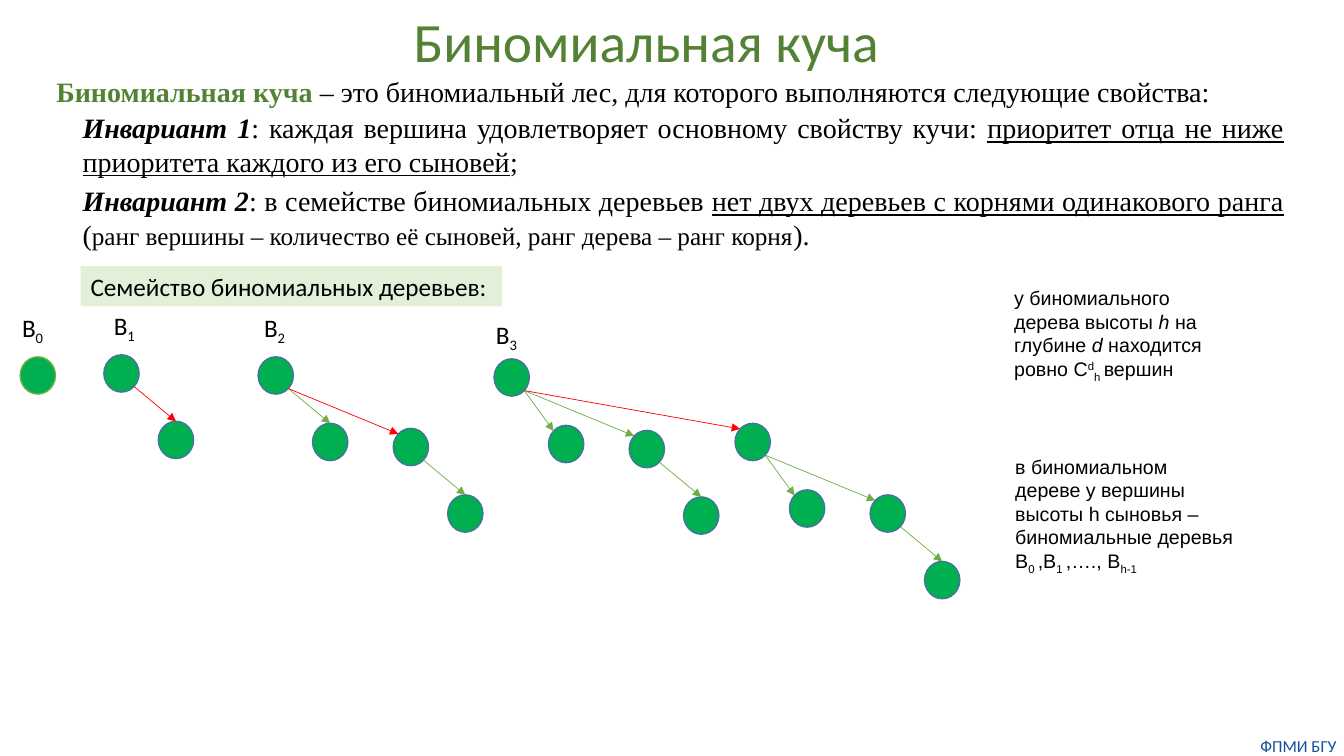
from dataclasses import dataclass

from lxml import etree
from pptx import Presentation
from pptx import util as u
from pptx.dml.color import RGBColor
from pptx.enum import shapes, text
from pptx.oxml import ns


@dataclass(frozen=True)
class Theme:
    heading: str = "548235"
    ink: str = "000000"
    footer: str = "144E9D"
    band: str = "E2F0D9"
    node: str = "00B050"
    outline: str = "43739E"
    edge: str = "70AD47"
    new_edge: str = "FF0000"
    sans: str = "Calibri"
    serif: str = "Times New Roman"
    note: str = "Arial"
    title_size: float = 39.6
    body_size: float = 20
    label_size: float = 18
    note_size: float = 14
    footer_size: float = 12


THEME = Theme()


# Grid: 133.3 columns by 75 rows of square cells
def cells(count: float) -> u.Length:
    return u.Inches(count / 10)


def rgb(value: str) -> RGBColor:
    return RGBColor.from_string(value)


@dataclass(frozen=True)
class Area:
    column: float
    row: float
    columns: float
    rows: float

    def lengths(self) -> list[u.Length]:
        return [cells(n) for n in (self.column, self.row, self.columns, self.rows)]


@dataclass(frozen=True)
class Span:
    words: str
    bold: bool | None = None
    italic: bool | None = None
    underline: bool | None = None
    size: float | None = None
    color: str | None = None
    baseline: int = 0  # percent above (+) or below (-) the line


@dataclass(frozen=True)
class Style:
    font: str
    size: float
    color: str = THEME.ink
    align: text.PP_ALIGN = text.PP_ALIGN.LEFT
    left: float = 0
    first: float = 0
    space: float = 0


@dataclass(frozen=True)
class Tree:
    rank: int
    column: float
    row: float
    label_column: float
    label_row: float


def write(para, style: Style, spans: list[Span]) -> None:
    para.alignment = style.align
    if style.left or style.first:
        properties = para._p.get_or_add_pPr()
        properties.set("marL", str(cells(style.left)))
        properties.set("indent", str(cells(style.first)))
    if style.space:
        para.space_before = para.space_after = u.Pt(style.space)
    para.font.name = style.font
    para.font.size = u.Pt(style.size)
    para.font.color.rgb = rgb(style.color)
    for span in spans:
        run = para.add_run()
        run.text = span.words
        run.font.bold = span.bold
        run.font.italic = span.italic
        run.font.underline = span.underline
        if span.size:
            run.font.size = u.Pt(span.size)
        if span.color:
            run.font.color.rgb = rgb(span.color)
        if span.baseline:
            run._r.get_or_add_rPr().set("baseline", str(span.baseline * 1000))


def add_text(page, area: Area, paras: list[tuple[Style, list[Span]]],
             wrap: bool = True, anchor=text.MSO_ANCHOR.TOP):
    box = page.shapes.add_textbox(*area.lengths())
    frame = box.text_frame
    frame.word_wrap = wrap
    frame.auto_size = text.MSO_AUTO_SIZE.SHAPE_TO_FIT_TEXT
    frame.vertical_anchor = anchor
    for index, (style, spans) in enumerate(paras):
        para = frame.add_paragraph() if index else frame.paragraphs[0]
        write(para, style, spans)
    return box


def add_node(page, column: float, row: float, outline: str) -> None:
    node = page.shapes.add_shape(shapes.MSO_SHAPE.OVAL, *Area(column, row, 3.5, 3.7).lengths())
    node.shadow.inherit = False
    node.fill.solid()
    node.fill.fore_color.rgb = rgb(THEME.node)
    node.line.color.rgb = rgb(outline)
    node.line.width = u.Pt(1)


def add_edge(page, start: tuple[float, float], end: tuple[float, float], color: str) -> None:
    edge = page.shapes.add_connector(shapes.MSO_CONNECTOR.STRAIGHT, *map(cells, start + end))
    edge.line.color.rgb = rgb(color)
    edge.line.width = u.Pt(0.5)
    etree.SubElement(edge.line._get_or_add_ln(), ns.qn("a:tailEnd"), type="triangle")
    etree.SubElement(edge._element.spPr, ns.qn("a:effectLst"))


# Offset from a root to its child of rank 0, 1, 2
CHILD_OFFSETS = [(5.4, 6.6), (13.4, 7.1), (23.9, 6.4)]


def add_tree(page, tree: Tree, rank: int, column: float, row: float, whole: bool = True) -> None:
    """Draw a root of the given rank, then its children of ranks 0 to rank - 1."""
    add_node(page, column, row, THEME.outline if tree.rank else THEME.edge)
    for child, (across, down) in enumerate(CHILD_OFFSETS[:rank]):
        x, y = column + across, row + down
        add_tree(page, tree, child, x, y, whole=False)
        from_top = child == 0 and (rank == 1 or tree.rank == 2)
        end = (x + 1.75, y) if from_top else (x + 0.5, y + 0.55)
        joins_halves = whole and child == rank - 1
        add_edge(page, (column + 3, row + 3.15), end,
                 THEME.new_edge if joins_halves else THEME.edge)


LABEL = Style(THEME.sans, THEME.label_size)
NOTE = Style(THEME.note, THEME.note_size)
LEAD = Style(THEME.serif, THEME.body_size, align=text.PP_ALIGN.JUSTIFY, first=2.4)
INVARIANT = Style(THEME.serif, THEME.body_size, align=text.PP_ALIGN.JUSTIFY, left=5, space=2)

DEFINITION = [
    (LEAD, [Span("Биномиальная куча ", bold=True, color=THEME.heading),
            Span("– это биномиальный лес, для которого выполняются следующие свойства:")]),
    (INVARIANT, [Span("Инвариант 1", bold=True, italic=True),
                 Span(": каждая вершина удовлетворяет основному свойству кучи: "),
                 Span("приоритет отца не ниже приоритета каждого из его сыновей", underline=True),
                 Span(";")]),
    (INVARIANT, [Span("Инвариант 2", bold=True, italic=True),
                 Span(": в семействе биномиальных деревьев "),
                 Span("нет двух деревьев с корнями одинакового ранга ", underline=True),
                 Span("("),
                 Span("ранг вершины – количество её сыновей, ранг дерева – ранг корня",
                      size=THEME.label_size),
                 Span(").")]),
]
DEPTH_NOTE = [Span("у биномиального дерева высоты "), Span("h ", italic=True),
              Span("на глубине "), Span("d", italic=True), Span(" находится ровно С"),
              Span("d", baseline=30), Span("h ", baseline=-25), Span("вершин")]
CHILDREN_NOTE = [Span("в биномиальном дереве у вершины высоты h сыновья – биномиальные деревья B"),
                 Span("0 ", baseline=-25), Span(",B"), Span("1 ", baseline=-25),
                 Span(",…., B"), Span("h-1", baseline=-25)]
TREES = [Tree(0, 2, 35.4, 1.2, 30.5), Tree(1, 10.3, 35.2, 10.3, 30.3),
         Tree(2, 25.6, 35.4, 25.2, 30.5), Tree(3, 49, 35.6, 48.2, 31.2)]


def main() -> None:
    deck = Presentation()
    deck.slide_width, deck.slide_height = cells(133.3), cells(75)
    page = deck.slides.add_slide(deck.slide_layouts[5])

    # Title
    title = page.shapes.title
    title.left, title.top, title.width, title.height = Area(6.6, 0.8, 115, 7.3).lengths()
    title.text_frame.auto_size = text.MSO_AUTO_SIZE.NONE
    title.text_frame.vertical_anchor = text.MSO_ANCHOR.MIDDLE
    heading = title.text_frame.paragraphs[0]
    heading.line_spacing = 0.9
    write(heading, Style(THEME.sans, THEME.title_size, THEME.heading, text.PP_ALIGN.CENTER),
          [Span("Биномиальная куча")])

    # Definition and family caption
    add_text(page, Area(2.2, 6.9, 126.1, 18.7), DEFINITION)
    caption = add_text(page, Area(8, 26.4, 41.8, 4),
                       [(LABEL, [Span("Семейство биномиальных деревьев:")])], wrap=False)
    caption.fill.solid()
    caption.fill.fore_color.rgb = rgb(THEME.band)

    # Trees B0 to B3
    for tree in TREES:
        add_tree(page, tree, tree.rank, tree.column, tree.row)
        add_text(page, Area(tree.label_column, tree.label_row, 4.2, 4),
                 [(LABEL, [Span("B"), Span(str(tree.rank), baseline=-25)])], wrap=False)

    # Side notes
    for area, spans in [(Area(99.6, 28, 22.1, 10.4), DEPTH_NOTE),
                        (Area(99.7, 44.7, 23.8, 12.8), CHILDREN_NOTE)]:
        add_text(page, area, [(NOTE, spans)], anchor=text.MSO_ANCHOR.MIDDLE)

    # Footer
    footer_style = Style(THEME.sans, THEME.footer_size, THEME.footer, text.PP_ALIGN.CENTER)
    frame = add_text(page, Area(124.3, 73, 9, 2), [(footer_style, [Span("ФПМИ БГУ")])]).text_frame
    frame.margin_left = frame.margin_right = frame.margin_top = frame.margin_bottom = 0

    deck.save("out.pptx")


if __name__ == "__main__":
    main()
